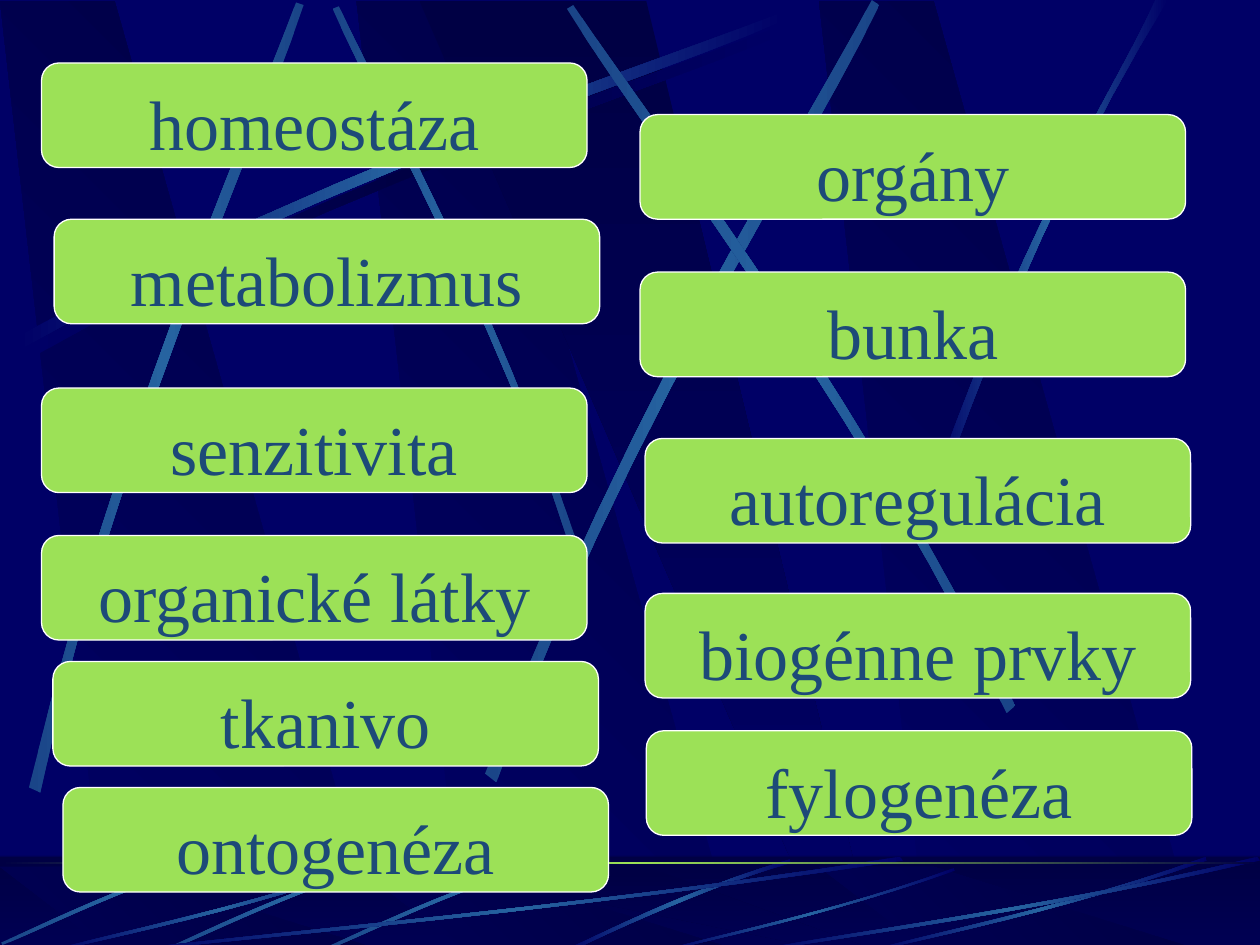
from pptx import Presentation
from pptx.dml.color import RGBColor
from pptx.enum.shapes import MSO_SHAPE
from pptx.enum.text import MSO_ANCHOR, PP_ALIGN
from pptx.oxml.ns import qn
from pptx.util import Inches, Pt
from lxml.etree import SubElement

NAVY = RGBColor(0x00, 0x00, 0x66)
DARK = RGBColor(0x00, 0x00, 0x44)
BLUE = RGBColor(0x26, 0x63, 0xA0)
DIM = RGBColor(0x1A, 0x45, 0x88)
LIME = RGBColor(0x9C, 0xE1, 0x57)
INK = RGBColor(0x1D, 0x4A, 0x78)
WHITE = RGBColor(0xFF, 0xFF, 0xFF)

SHADE = (NAVY, DARK)
FADE = (NAVY, BLUE, NAVY)
SOFT = (DIM, BLUE, DIM)

TERMS = [
    ("homeostáza", 0.33, 0.5), ("senzitivita", 0.33, 3.08),
    ("biogénne prvky", 5.12, 4.71), ("orgány", 5.08, 0.91),
    ("organické látky", 0.33, 4.25), ("tkanivo", 0.42, 5.25),
    ("ontogenéza", 0.5, 6.25), ("metabolizmus", 0.43, 1.74),
    ("bunka", 5.08, 2.16), ("autoregulácia", 5.12, 3.48),
    ("fylogenéza", 5.13, 5.8),
]

# Each ray: colours, then the two curved edges as four Bezier points each.
RAYS = [
    ((NAVY, DARK, NAVY), [(0.2, 2.75), (2.84, 1.34), (5.24, 0.59), (6.26, 0.18)],
     [(6.29, 0.24), (5.28, 0.69), (2.54, 1.51), (0.23, 2.85)]),
    (SOFT, [(4.6, 4.36), (3.91, 2.34), (3.02, 0.77), (2.69, 0.05)],
     [(2.64, 0.07), (2.95, 0.79), (3.98, 2.58), (4.54, 4.39)]),
    (FADE, [(0.14, 2.67), (2.78, 1.25), (5.18, 0.51), (6.2, 0.1)],
     [(6.23, 0.16), (5.22, 0.61), (2.48, 1.43), (0.17, 2.77)]),
    (SOFT, [(0.23, 6.25), (0.93, 3.34), (1.97, 1.05), (2.35, 0.02)],
     [(2.41, 0.04), (2.07, 1.08), (0.86, 3.68), (0.32, 6.29)]),
    (SOFT, [(3.85, 6.14), (4.98, 3.2), (6.38, 1.02), (6.92, 0)],
     [(6.98, 0.04), (6.49, 1.08), (4.86, 3.55), (3.94, 6.21)]),
    (SOFT, [(8.06, 5.6), (6.7, 2.93), (5.16, 0.95), (4.55, 0.04)],
     [(4.5, 0.07), (5.07, 1.01), (6.85, 3.25), (7.99, 5.66)]),
    (FADE, [(7.38, 3.93), (8.14, 1.73), (8.88, 0.66), (9.17, 0)],
     [(9.27, 0), (8.36, 1.45), (7.69, 3.22), (7.44, 3.97)]),
]

SHORT = (SOFT, [(4.42, 6.8), (3.55, 7.05), (2.87, 7.4), (2.56, 7.53)],
         [(2.57, 7.55), (2.88, 7.43), (3.65, 7.03), (4.44, 6.83)])
LOW = (FADE, [(3.08, 6.83), (1.93, 7.23), (0.88, 7.44), (0.43, 7.55)],
       [(0.42, 7.54), (0.86, 7.41), (2.06, 7.18), (3.07, 6.8)])

# Floor rays: a ray with its shift to the right and down.
FLOOR = [
    ((FADE, [(6.27, 6.82), (5.37, 7.09), (4.77, 7.42), (4.48, 7.54)],
      [(4.53, 7.55), (4.9, 7.37), (5.71, 7), (6.28, 6.85)]), 0, 0),
    (SHORT, 0, 0), (SHORT, -1.25, 0), (SHORT, -2.55, -0.05),
    ((FADE, [(7.17, 6.83), (4.49, 7.23), (2.06, 7.44), (1.03, 7.55)],
      [(1, 7.54), (2.02, 7.41), (4.8, 7.18), (7.14, 6.8)]), 0, 0),
    (LOW, 0, 0),
    ((FADE, [(7.58, 6.91), (6.58, 7.26), (5.67, 7.45), (5.28, 7.55)],
      [(5.27, 7.54), (5.65, 7.43), (6.69, 7.22), (7.57, 6.89)]), 0, 0),
    (LOW, 6.5, 0),
    ((FADE, [(10, 6.83), (8.27, 7.23), (6.69, 7.44), (6.02, 7.55)],
      [(6, 7.54), (6.66, 7.41), (8.46, 7.18), (9.98, 6.8)]), 0, 0),
]


def blend(shape, tones, angle=0):
    """Fill with evenly spaced colours; the angle runs clockwise."""
    shape.shadow.inherit = False
    shape.line.fill.background()
    shape.fill.gradient()
    shape.fill.gradient_angle = -angle % 360
    stops = shape._element.spPr.find(qn("a:gradFill")).find(qn("a:gsLst"))
    for stop in list(stops):
        stops.remove(stop)
    for i, tone in enumerate(tones):
        stop = SubElement(stops, qn("a:gs"), pos=str(100000 * i // (len(tones) - 1)))
        SubElement(stop, qn("a:srgbClr"), val=str(tone))


def outline(slide, points, tones, angle=0):
    spots = [(Inches(x), Inches(y)) for x, y in points]
    pen = slide.shapes.build_freeform(*spots[0])
    pen.add_line_segments(spots[1:], close=True)
    blend(pen.convert_to_shape(), tones, angle)


def curve(ends, steps=12):
    """Sample a cubic Bezier curve."""
    spots = []
    for i in range(steps + 1):
        t = i / steps
        parts = ((1 - t) ** 3, 3 * t * (1 - t) ** 2, 3 * t * t * (1 - t), t ** 3)
        spots.append(tuple(sum(w * p[k] for w, p in zip(parts, ends)) for k in (0, 1)))
    return spots


def add_ray(slide, ray, right=0, down=0):
    tones, first, back = ray
    points = curve(first) + curve(back)
    outline(slide, [(x + right, y + down) for x, y in points], tones)


def add_bands(slide, top, base):
    for x in (2.83, 0, 6.5):
        points = [(x + 0.86, base), (x + 3.02, base), (x + 0.91, top), (x, top)]
        outline(slide, points, SHADE, 315)
    points = [(3.33, top), (6.58, base), (6.94, base), (5.13, top)]
    outline(slide, points, SHADE[::-1], 90)


def add_bar(slide, kind, left, top, width, height):
    return slide.shapes.add_shape(
        kind, Inches(left), Inches(top), Inches(width), Inches(height))


def add_veil(slide):
    """Lay a half-transparent dark strip over the floor."""
    veil = add_bar(slide, MSO_SHAPE.RECTANGLE, 0, 6.79, 10, 0.75)
    veil.shadow.inherit = False
    veil.line.fill.background()
    veil.fill.solid()
    veil.fill.fore_color.rgb = DARK
    tone = veil._element.spPr.find(qn("a:solidFill"))[0]
    SubElement(tone, qn("a:alpha"), val="50000")


def add_term(slide, text, left, top):
    box = add_bar(slide, MSO_SHAPE.ROUNDED_RECTANGLE, left, top, 4.33, 0.83)
    box.shadow.inherit = False
    box.fill.solid()
    box.fill.fore_color.rgb = LIME
    box.line.color.rgb = WHITE
    box.line.width = Pt(0.75)
    frame = box.text_frame
    look = {"word_wrap": False, "vertical_anchor": MSO_ANCHOR.MIDDLE,
            "margin_top": Inches(0.16), "margin_bottom": Inches(0.05)}
    for key, value in look.items():
        setattr(frame, key, value)
    para = frame.paragraphs[0]
    para.alignment = PP_ALIGN.CENTER
    run = para.add_run()
    run.text = text
    for key, value in {"name": "Times New Roman", "size": Pt(40)}.items():
        setattr(run.font, key, value)
    run.font.color.rgb = INK


def main():
    deck = Presentation()
    deck.slide_width, deck.slide_height = Inches(10), Inches(7.5)
    slide = deck.slides.add_slide(deck.slide_layouts[6])
    slide.background.fill.solid()
    slide.background.fill.fore_color.rgb = NAVY

    add_bands(slide, 0.01, 7.52)
    for ray in RAYS:
        add_ray(slide, ray)
    blend(add_bar(slide, MSO_SHAPE.RECTANGLE, 0, 6.8, 10, 0.75), SHADE[::-1], 90)
    add_bands(slide, 6.88, 7.54)
    add_veil(slide)
    for ray, right, down in FLOOR:
        add_ray(slide, ray, right, down)
    blend(add_bar(slide, MSO_SHAPE.RECTANGLE, 0, 6.84, 10, 0.02), (DARK, LIME, DARK))

    for term in TERMS:
        add_term(slide, *term)
    deck.save("out.pptx")


if __name__ == "__main__":
    main()
